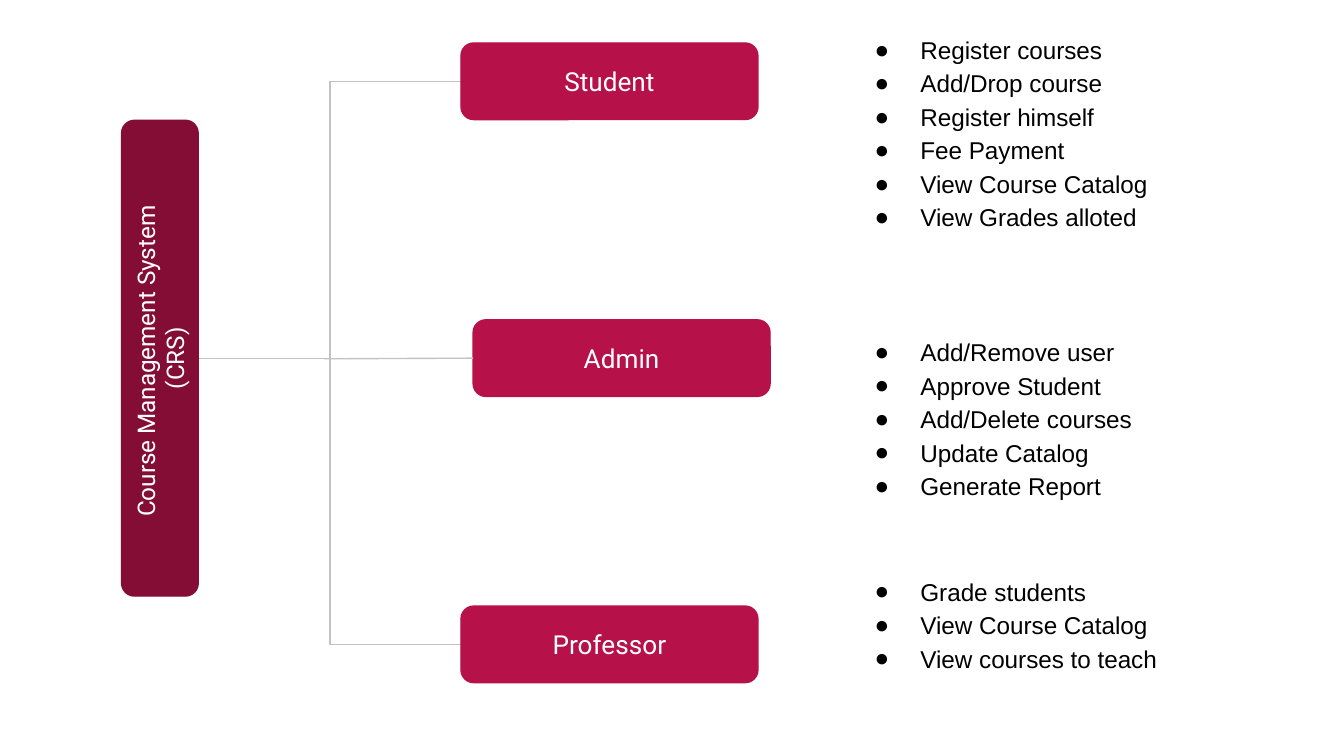
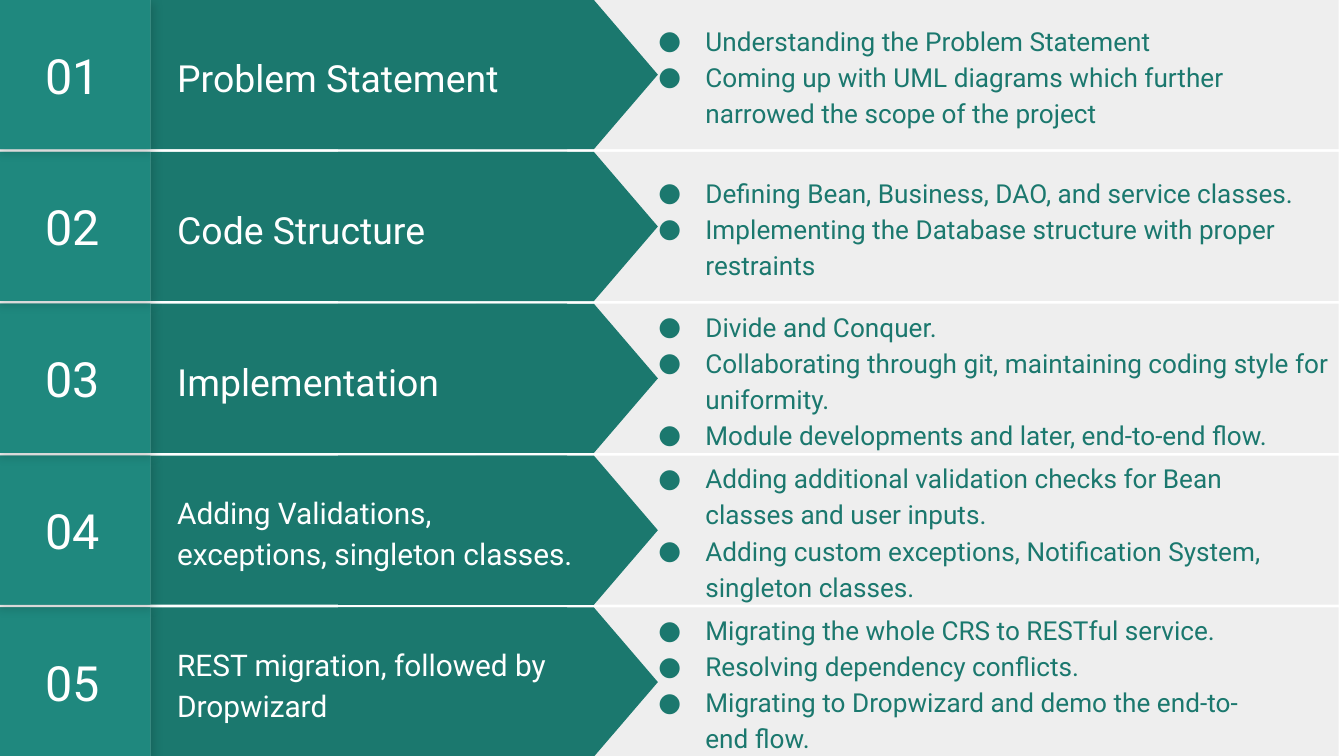
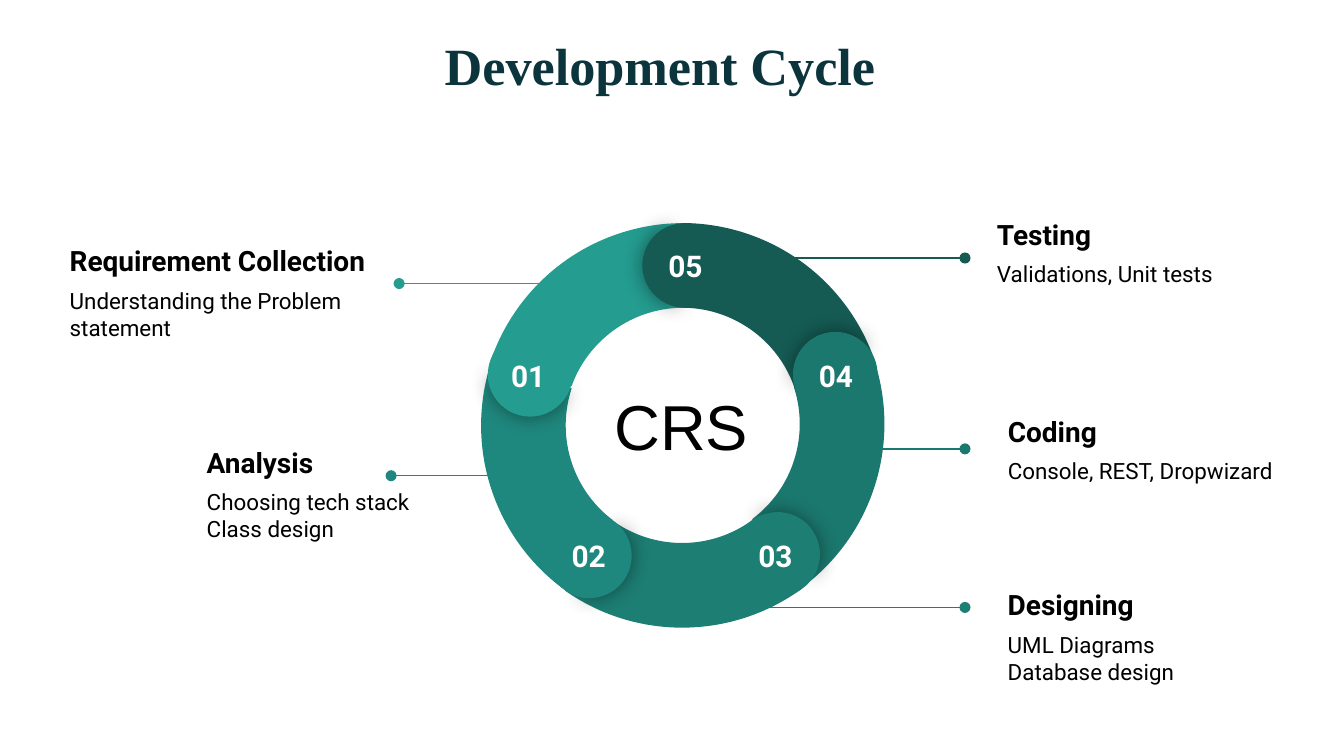
from lxml import etree
from pptx import Presentation
from pptx.dml.color import RGBColor
from pptx.enum import shapes, text
from pptx.oxml import ns
from pptx.util import Inches, Pt

COLORS = {
    "white": "FFFFFF", "black": "000000", "branch line": "C2C2C2",
    "root": "840D35", "role": "B61249", "panel": "EEEEEE", "navy": "0C343D",
    "01": "249C90", "02": "1F887E", "03": "1D7E74", "04": "1B786E", "05": "155B54",
}
KIND = shapes.MSO_SHAPE
CENTER = text.PP_ALIGN.CENTER
MIDDLE, TOP = text.MSO_ANCHOR.MIDDLE, text.MSO_ANCHOR.TOP
FRAME = {
    "word_wrap": True, "auto_size": text.MSO_AUTO_SIZE.NONE,
    "margin_left": Inches(0.1), "margin_right": Inches(0.1),
    "margin_top": Inches(0.1), "margin_bottom": Inches(0.1),
}

SYSTEM = "Course Management System \v(CRS)"
ROLES = [
    ("Student", (3.43, 0.32), 0.13, 1.93, [
        "Register courses", "Add/Drop course", "Register himself",
        "Fee Payment", "View Course Catalog", "View Grades alloted"]),
    ("Professor", (3.43, 4.51), 4.16, 0.92, [
        "Grade students", "View Course Catalog", "View courses to teach"]),
    ("Admin", (3.52, 2.38), 2.38, 1.43, [
        "Add/Remove user", "Approve Student", "Add/Delete courses",
        "Update Catalog", "Generate Report"]),
]

STAGES = [
    ("Problem Statement", 20, 5.31, [
        "Understanding the Problem Statement",
        "Coming up with UML diagrams which further narrowed the scope of the project"]),
    ("Code Structure", 20, 5.31, [
        "Defining Bean, Business, DAO, and service classes.",
        "Implementing the Database structure with proper restraints"]),
    ("Implementation", 20, 5.39, [
        "Divide and Conquer.",
        "Collaborating through git, maintaining coding style for uniformity.",
        "Module developments and later, end-to-end flow."]),
    ("Adding Validations, exceptions, singleton classes.", 16, 4.97, [
        "Adding additional validation checks for Bean classes and user inputs.",
        "Adding custom exceptions, Notification System, singleton classes."]),
    ("REST migration, followed by Dropwizard", 16, 4.97, [
        "Migrating the whole CRS to RESTful service.",
        "Resolving dependency conflicts.",
        "Migrating to Dropwizard and demo the end-to-end flow."]),
]

PHASES = [
    ("01", "Requirement Collection", ["Understanding the Problem statement"],
     (0.42, 1.67, 2.65), (4.31, 2.97, 2.11)),
    ("02", "Analysis", ["Choosing tech stack", "Class design"],
     (1.44, 3.17, 2.8), (3.92, 2.91, 3.54)),
    ("03", "Designing", ["UML Diagrams Database design"],
     (7.4, 4.23, 1.83), (5.17, 7.18, 4.52)),
    ("04", "Coding", ["Console, REST, Dropwizard"],
     (7.4, 2.84, 2.68), (6.22, 7.18, 3.34)),
    ("05", "Testing", ["Validations, Unit tests"],
     (7.32, 1.37, 2.66), (5.78, 7.18, 1.92)),
]
RING_SIZE, CAP_SIZE = 3.03, 0.63
RING = [
    ("arc", "02", 3.58, 1.65, 277), ("arc", "04", 3.55, 1.64, 132),
    ("arc", "05", 3.56, 1.66, 60), ("cap", "04", 5.9, 2.47, 67.1),
    ("arc", "03", 3.56, 1.64, 204), ("cap", "02", 4.07, 3.82, 211.1),
    ("arc", "01", 3.57, 1.66, 350), ("cap", "05", 4.78, 1.66, 357.1),
    ("cap", "03", 5.47, 3.81, 139.1), ("cap", "01", 3.63, 2.47, 284.1),
]
NUMBERS = {"01": (3.65, 2.56), "02": (4.1, 3.9), "03": (5.49, 3.9),
           "04": (5.94, 2.56), "05": (4.82, 1.74)}


def rgb(color):
    return RGBColor.from_string(COLORS[color])


def apply(target, formats):
    for key, value in formats.items():
        setattr(target, key, value)


def add_xml(parent, tag, **attributes):
    return etree.SubElement(parent, ns.qn(tag), attributes)


def add_bullet(paragraph, color, font, hang):
    properties = paragraph._p.get_or_add_pPr()
    properties.set("marL", str(Inches(0.5)))
    properties.set("indent", str(-Inches(hang)))
    add_xml(add_xml(properties, "a:buClr"), "a:srgbClr", val=COLORS[color])
    add_xml(properties, "a:buFont", typeface=font)
    add_xml(properties, "a:buChar", char="●")


def write(shape, lines, size, color="white", font="Roboto", bold=False,
          align=None, anchor=MIDDLE, spacing=None, hang=None):
    frame = shape.text_frame
    apply(frame, {**FRAME, "vertical_anchor": anchor})
    for index, line in enumerate(lines):
        paragraph = frame.add_paragraph() if index else frame.paragraphs[0]
        paragraph.text = line
        apply(paragraph, {"alignment": align, "line_spacing": spacing})
        if hang:
            add_bullet(paragraph, color, font, hang)
        for run in paragraph.runs:
            apply(run.font, {"name": font, "size": Pt(size), "bold": bold})
            run.font.color.rgb = rgb(color)
    return frame


def add_block(parts, kind, box, color, outlined=False, rotation=0, adjust=()):
    block = parts.add_shape(kind, *map(Inches, box))
    block.shadow.inherit = False
    block.fill.solid()
    block.fill.fore_color.rgb = rgb(color)
    if outlined:
        block.line.color.rgb = rgb(color)
        block.line.width = Pt(0.75)
    else:
        block.line.fill.background()
    block.rotation = rotation
    for index, value in enumerate(adjust):
        block.adjustments[index] = value
    return block


def add_shadow(block, opacity, blur, distance, angle):
    effects = block._element.spPr.find(ns.qn("a:effectLst"))
    shadow = add_xml(effects, "a:outerShdw", blurRad=str(Pt(blur)),
                     dist=str(Pt(distance)), dir=str(angle * 60000),
                     algn="bl", rotWithShape="0")
    black = add_xml(shadow, "a:srgbClr", val=COLORS["black"])
    add_xml(black, "a:alpha", val=str(opacity * 1000))


def add_text(parts, box, lines, size, **formats):
    return write(parts.add_textbox(*map(Inches, box)), lines, size, **formats)


def add_line(parts, start, end, color, kind=shapes.MSO_CONNECTOR.STRAIGHT, dot=False):
    line = parts.add_connector(kind, *map(Inches, start + end))
    line.line.color.rgb = rgb(color)
    line.line.width = Pt(0.75)
    if dot:
        add_xml(line.line._get_or_add_ln(), "a:tailEnd", type="oval")
    add_xml(line._element.spPr, "a:effectLst")
    return line


def build_roles(slide):
    parts = slide.shapes
    width, height, middle = 2.21, 0.57, 2.67
    for _, (left, top), *_ in ROLES[:2]:
        add_line(parts, (1.48, middle), (left, top + height / 2), "branch line",
                 shapes.MSO_CONNECTOR.ELBOW)
    root = add_block(parts, KIND.ROUNDED_RECTANGLE, (-0.58, 2.38, 3.54, height),
                     "root", outlined=True, rotation=270)
    write(root, [SYSTEM], 13, align=CENTER)
    for role, corner, top, list_height, duties in ROLES:
        box = add_block(parts, KIND.ROUNDED_RECTANGLE, (*corner, width, height),
                        "role", outlined=True)
        write(box, [role], 14, align=CENTER)
        if role == "Admin":
            stem = add_line(parts, (2.41, middle), (corner[0], middle), "branch line")
            stem.end_connect(box, 1)
        add_text(parts, (6.25, top, 2.59, list_height), duties, 13, color="black",
                 font="Arial", anchor=TOP, spacing=1.15, hang=0.34)


def build_stages(slide):
    height, pitch = 1.11, 1.13
    arrow_length = 2.38
    for index, (stage, size, width, steps) in reversed(list(enumerate(STAGES))):
        top = index * pitch
        parts = slide.shapes.add_group_shape().shapes
        add_block(parts, KIND.RECTANGLE, (3.54, top, 6.42, height), "panel")
        add_block(parts, KIND.RECTANGLE, (1.12, top, 3.1, height), "04")
        add_block(parts, KIND.FLOWCHART_OFFPAGE_CONNECTOR,
                  (3.15, top + (height - arrow_length) / 2, height, arrow_length),
                  "04", rotation=270)
        add_text(parts, (1.22, top + 0.13, 3.26, 0.85), [stage], size, spacing=1.15)
        tile = (-0.04, top, 1.16, height)
        add_shadow(add_block(parts, KIND.RECTANGLE, tile, "03"), 17, 5.6, 2.2, 45)
        number = add_block(parts, KIND.RECTANGLE, tile, "02")
        write(number, [f"{index + 1:02}"], 26, align=CENTER)
        add_text(parts, (4.65, top, width, height), steps, 14, color="04",
                 spacing=1.15, hang=0.35)


def build_cycle(slide):
    parts = slide.shapes
    title = parts.title
    apply(title, dict(zip(("left", "top", "width", "height"),
                          map(Inches, (1.34, 0.15, 7.14, 0.67)))))
    write(title, ["Development Cycle"], 28, color="navy", font="Times New Roman",
          bold=True, align=CENTER, anchor=TOP)
    for number, phase, details, (left, top, width), (start, end, level) in PHASES:
        add_line(parts, (start, level), (end, level), number, dot=True)
        note = add_text(parts, (left, top, width, 1.01), [phase, *details], 12,
                        color="black")
        apply(note.paragraphs[0].runs[0].font, {"size": Pt(15), "bold": True})
        note.paragraphs[1].space_before = Pt(5)
    for piece, number, left, top, turn in RING:
        if piece == "arc":
            add_block(parts, KIND.BLOCK_ARC, (left, top, RING_SIZE, RING_SIZE), number,
                      rotation=turn, adjust=(126.02, 168.68, CAP_SIZE / RING_SIZE))
            continue
        box = (left, top, CAP_SIZE, CAP_SIZE)
        outer = add_block(parts, KIND.PIE, box, number, rotation=turn,
                          adjust=(61.9, 149.96))
        add_shadow(outer, 43, 11.2, 0, 0)
        add_block(parts, KIND.PIE, box, number, rotation=(turn + 179.3) % 360,
                  adjust=(40.28, 171.84))
    for number, corner in NUMBERS.items():
        add_text(parts, (*corner, 0.56, 0.29), [number], 16, bold=True,
                 align=CENTER, anchor=TOP)
    add_text(parts, (4.47, 2.78, 1.2, 0.77), ["CRS"], 34, color="black",
             font="Arial", align=CENTER, anchor=TOP)


def main():
    deck = Presentation()
    deck.slide_width = Inches(10)
    deck.slide_height = deck.slide_width * 9 // 16
    title_only, blank = deck.slide_layouts[5], deck.slide_layouts[6]
    for build, layout in ((build_roles, blank), (build_stages, blank),
                          (build_cycle, title_only)):
        build(deck.slides.add_slide(layout))
    deck.save("out.pptx")


if __name__ == "__main__":
    main()
